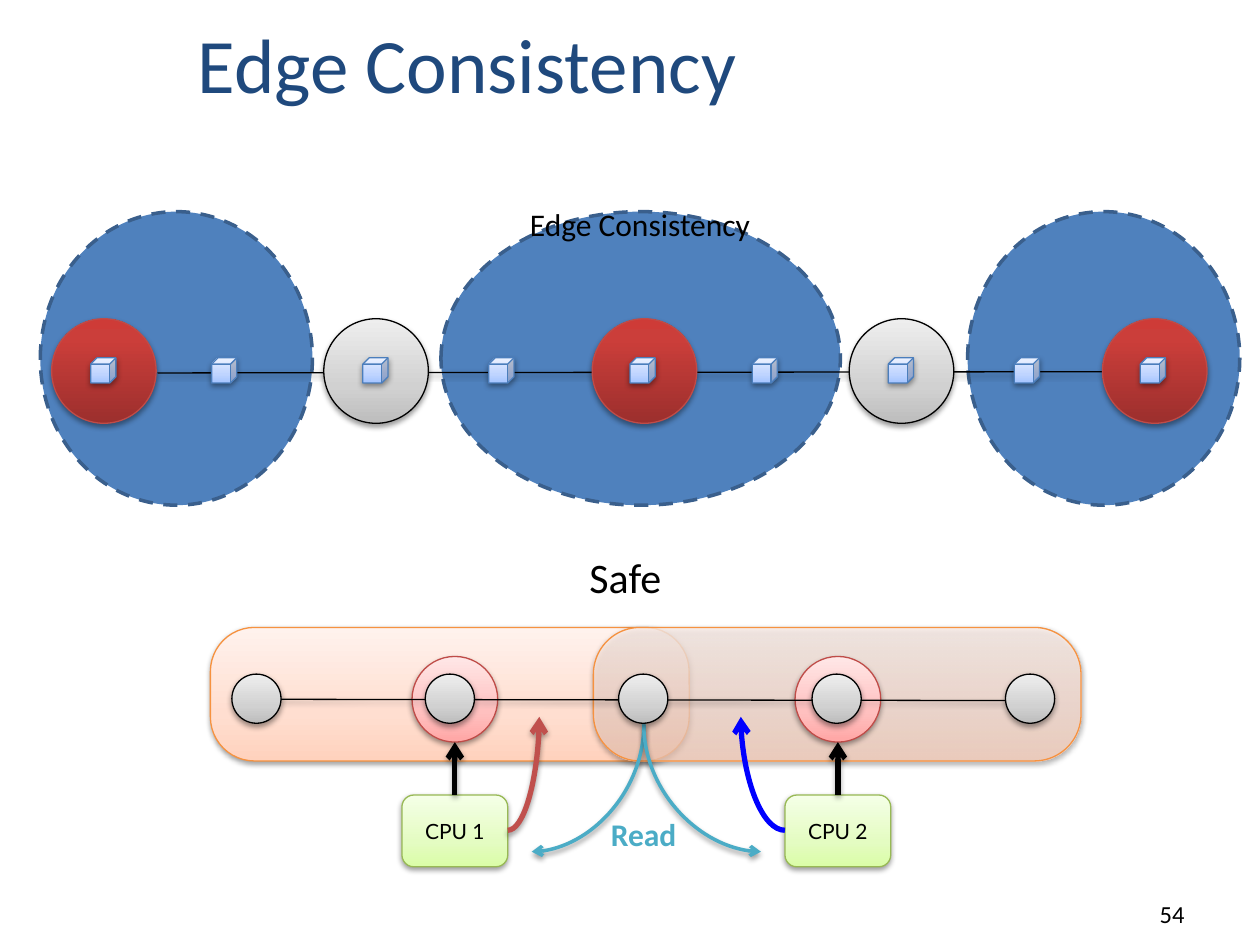
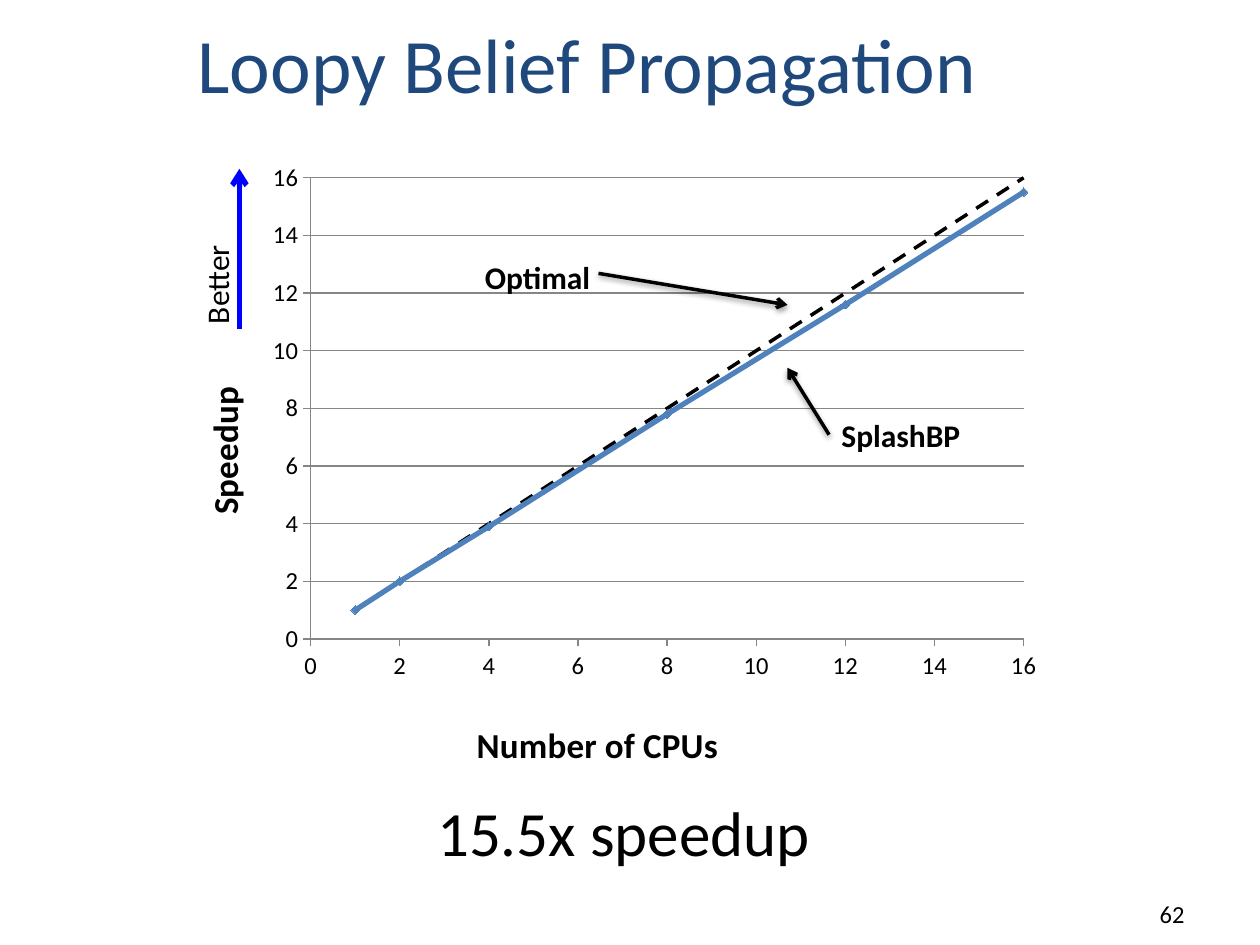
"""Build two slides: edge consistency on a graph, and the speedup of belief propagation."""
from collections import namedtuple
from dataclasses import dataclass

from lxml.etree import SubElement
from pptx import Presentation
from pptx.chart.data import XyChartData
from pptx.dml.color import RGBColor
from pptx.enum.chart import XL_CHART_TYPE, XL_MARKER_STYLE, XL_TICK_MARK
from pptx.enum.dml import MSO_LINE
from pptx.enum.shapes import MSO_CONNECTOR, MSO_SHAPE
from pptx.enum.text import MSO_ANCHOR, PP_ALIGN
from pptx.oxml.ns import qn
from pptx.util import Inches, Pt

Look = namedtuple("Look", "stops outline")
Type = namedtuple("Type", "size color bold align anchor font", defaults=("Calibri",))
LEFT, CENTER, RIGHT = PP_ALIGN.LEFT, PP_ALIGN.CENTER, PP_ALIGN.RIGHT
TOP, MIDDLE, BOTTOM = MSO_ANCHOR.TOP, MSO_ANCHOR.MIDDLE, MSO_ANCHOR.BOTTOM


@dataclass(frozen=True)
class Theme:
    black: str = "000000"
    blue: str = "4F81BD"
    bright_blue: str = "0000FF"
    teal: str = "4BACC6"
    red: str = "C0504D"
    grid: str = "868686"
    title: Type = Type(44, "1F497D", False, LEFT, BOTTOM)
    number: Type = Type(14, "000000", False, RIGHT, BOTTOM)
    result: Type = Type(36, "000000", False, CENTER, TOP)
    heading: Type = Type(24, "000000", False, LEFT, TOP)
    label: Type = Type(18, "000000", False, LEFT, TOP)
    scope_label: Type = Type(18, "000000", False, CENTER, TOP)
    strong: Type = Type(18, "000000", True, LEFT, TOP)
    read: Type = Type(18, "4BACC6", True, LEFT, TOP)
    cpu_label: Type = Type(12, "000000", False, CENTER, MIDDLE, "Lato")
    axis_title_size: int = 20
    tick_size: int = 14
    red_vertex: Look = Look(((0, "9C2F2D", 100), (80, "CB3E3A", 100), (100, "CE3B37", 100)), "BF4C48")
    gray_vertex: Look = Look(((0, "BDBDBD", 100), (35, "D1D1D1", 100), (100, "EEEEEE", 100)), "000000")
    halo: Look = Look(((0, "FFA6A5", 100), (35, "FFC0BF", 100), (100, "FFE7E7", 100)), "BF4C48")
    region: Look = Look(((0, "FFD2BD", 100), (35, "FFDED0", 100), (100, "FFF2ED", 100)), "F69240")
    clear_region: Look = Look(((0, "FFD2BD", 72), (35, "FFDED0", 70), (100, "FFF2ED", 80)), "F69240")
    cpu: Look = Look(((0, "DAFDA7", 100), (35, "E4FCC2", 100), (100, "F5FFE7", 100)), "98B955")
    cube: Look = Look(((0, "A4C4FF", 100), (35, "BFD4FF", 100), (100, "E6EEFF", 100)), "4B7EBC")


theme = Theme()


def draw_shape(page, kind, place, look):
    shape = page.shapes.add_shape(kind, *map(Inches, place))
    shape.line.color.rgb = RGBColor.from_string(look.outline)
    shape.line.width = Pt(0.75)
    shape.fill.gradient()
    shape.fill.gradient_angle = 90
    stop_list = shape.element.spPr.find(".//" + qn("a:gsLst"))
    for old_stop in list(stop_list):
        stop_list.remove(old_stop)
    for position, color, opacity in look.stops:
        stop = SubElement(stop_list, qn("a:gs"), pos=str(position * 1000))
        tint = SubElement(stop, qn("a:srgbClr"), val=color)
        SubElement(tint, qn("a:alpha"), val=str(opacity * 1000))
    shape.shadow.inherit = False
    add_shadow(shape.element.spPr.find(qn("a:effectLst")))
    return shape


def add_shadow(effects):
    shadow = SubElement(effects, qn("a:outerShdw"), blurRad="40000", dist="20000",
                        dir="5400000", rotWithShape="0")
    tint = SubElement(shadow, qn("a:srgbClr"), val=theme.black)
    SubElement(tint, qn("a:alpha"), val="38000")


deck = Presentation()
deck.slide_width, deck.slide_height = Inches(10), Inches(7.5)
edge_page, speedup_page = [deck.slides.add_slide(deck.slide_layouts[6]) for _ in range(2)]

for left, width in ((0.32, 2.16), (7.68, 2.16), (3.5, 3.17)):
    scope = edge_page.shapes.add_shape(
        MSO_SHAPE.OVAL, Inches(left), Inches(1.68), Inches(width), Inches(2.33))
    scope.shadow.inherit = False
    scope.fill.solid()
    scope.fill.fore_color.rgb = RGBColor.from_string(theme.blue)
    scope.line.color.rgb = RGBColor.from_string("3A5F8C")
    scope.line.width = Pt(2)
    scope.line.dash_style = MSO_LINE.DASH

draw_shape(edge_page, MSO_SHAPE.ROUNDED_RECTANGLE, (1.67, 4.98, 3.8, 1.06),
           theme.region).adjustments[0] = 0.33
draw_shape(edge_page, MSO_SHAPE.ROUNDED_RECTANGLE, (4.71, 4.98, 3.87, 1.06),
           theme.clear_region).adjustments[0] = 0.35

captions = []
for number, center in enumerate((3.61, 6.65), start=1):
    draw_shape(edge_page, MSO_SHAPE.OVAL, (center - 0.34, 5.21, 0.68, 0.68), theme.halo)
    cpu = draw_shape(edge_page, MSO_SHAPE.ROUNDED_RECTANGLE,
                     (center - 0.42, 6.31, 0.84, 0.57), theme.cpu)
    captions.append((cpu, theme.cpu_label, f"CPU {number}"))

speedup = XyChartData()
cpu_counts = (1, 2, 4, 8, 12, 16)
for name, values in (("Series 1", (1, 2, 3.9, 7.8, 11.6, 15.5)), ("Series 2", cpu_counts)):
    points = speedup.add_series(name)
    for cpu_count, value in zip(cpu_counts, values):
        points.add_data_point(cpu_count, value)
chart = speedup_page.shapes.add_chart(
    XL_CHART_TYPE.XY_SCATTER_LINES, Inches(1.17), Inches(1.08), Inches(7.32), Inches(5.1),
    speedup).chart
chart.has_legend = False
chart.has_title = False
chart.font.name = "Calibri"
chart.font.size = Pt(18)
chart.font.color.rgb = RGBColor.from_string(theme.black)
chart.plots[0].vary_by_categories = False

measured, optimal = chart.plots[0].series
for series, color, width in ((measured, theme.blue, 3), (optimal, theme.black, 2)):
    series.smooth = False
    series.format.line.color.rgb = RGBColor.from_string(color)
    series.format.line.width = Pt(width)
optimal.format.line.dash_style = MSO_LINE.DASH
optimal.marker.style = XL_MARKER_STYLE.NONE
measured.marker.style = XL_MARKER_STYLE.DIAMOND
measured.marker.size = 5
measured.marker.format.fill.solid()
measured.marker.format.fill.fore_color.rgb = RGBColor.from_string(theme.blue)
measured.marker.format.line.color.rgb = RGBColor.from_string(theme.blue)

for axis, title in ((chart.category_axis, "Number of CPUs"), (chart.value_axis, "Speedup")):
    axis.minimum_scale, axis.maximum_scale, axis.major_unit = 0, 16, 2
    axis.major_tick_mark = XL_TICK_MARK.OUTSIDE
    axis.minor_tick_mark = XL_TICK_MARK.NONE
    axis.has_major_gridlines = axis is chart.value_axis or title == "Speedup"
    axis.tick_labels.font.size = Pt(theme.tick_size)
    axis.format.line.color.rgb = RGBColor.from_string(theme.grid)
    span = axis.axis_title.text_frame.paragraphs[0].add_run()
    span.text = title
    span.font.name = "Calibri"
    span.font.size = Pt(theme.axis_title_size)
    span.font.bold = True
    span.font.color.rgb = RGBColor.from_string(theme.black)
chart.value_axis.major_gridlines.format.line.color.rgb = RGBColor.from_string(theme.grid)

cpu_title = chart.category_axis.axis_title.element
speedup_title = chart.value_axis.axis_title.element
speedup_title.find(".//" + qn("a:bodyPr")).set("rot", "-5400000")
plot_area = chart.element.find(".//" + qn("c:plotArea"))
edges = (("xMode", "edge"), ("yMode", "edge"))
for holder, index, settings in (
    (cpu_title, 1, (*edges, ("x", 0.35), ("y", 0.9))),
    (speedup_title, 1, (*edges, ("x", 0.05), ("y", 0.38))),
    (plot_area, 0, (("layoutTarget", "inner"), *edges,
                    ("x", 0.177), ("y", 0.065), ("w", 0.773), ("h", 0.718))),
):
    for old_layout in holder.findall(qn("c:layout")):
        holder.remove(old_layout)
    layout = SubElement(holder, qn("c:layout"))
    holder.insert(index, layout)
    manual = SubElement(layout, qn("c:manualLayout"))
    for tag, value in settings:
        SubElement(manual, qn(f"c:{tag}"), val=str(value))

STRAIGHT, CURVE = MSO_CONNECTOR.STRAIGHT, MSO_CONNECTOR.CURVE
for page, kind, ends, color, width, arrow, shadowed in (
    (edge_page, STRAIGHT, (1.25, 2.96, 8.75, 2.95), theme.black, 0.75, None, True),
    (edge_page, STRAIGHT, (2.23, 5.55, 7.98, 5.56), theme.black, 0.75, None, True),
    (edge_page, STRAIGHT, (3.61, 6.31, 3.61, 5.89), theme.black, 3, "tailEnd", True),
    (edge_page, STRAIGHT, (6.65, 6.31, 6.65, 5.89), theme.black, 3, "tailEnd", True),
    (edge_page, CURVE, (4.03, 6.59, 4.28, 5.69), theme.red, 3, "tailEnd", True),
    (edge_page, CURVE, (6.23, 6.59, 5.88, 5.69), theme.bright_blue, 3, "tailEnd", False),
    (edge_page, CURVE, (4.22, 6.76, 5.11, 5.75), theme.teal, 2, "headEnd", True),
    (edge_page, CURVE, (6.04, 6.76, 5.11, 5.75), theme.teal, 2, "headEnd", True),
    (speedup_page, STRAIGHT, (4.75, 2.17, 6.25, 2.42), theme.black, 2, "tailEnd", True),
    (speedup_page, STRAIGHT, (6.58, 3.45, 6.25, 2.92), theme.black, 2, "tailEnd", True),
    (speedup_page, STRAIGHT, (1.9, 2.61, 1.9, 1.34), theme.bright_blue, 3, "tailEnd", False),
):
    connector = page.shapes.add_connector(kind, *map(Inches, ends))
    connector.line.color.rgb = RGBColor.from_string(color)
    connector.line.width = Pt(width)
    properties = connector.element.spPr
    if kind == CURVE:
        properties.find(qn("a:prstGeom")).set("prst", "curvedConnector2")
    if arrow:
        SubElement(properties.find(qn("a:ln")), qn(f"a:{arrow}"), type="arrow")
    effects = SubElement(properties, qn("a:effectLst"))
    if shadowed:
        add_shadow(effects)

for left, look in ((0.41, theme.red_vertex), (2.57, theme.gray_vertex), (4.7, theme.red_vertex),
                   (6.74, theme.gray_vertex), (8.75, theme.red_vertex)):
    draw_shape(edge_page, MSO_SHAPE.OVAL, (left, 2.53, 0.83, 0.83), look)
for step in range(5):
    draw_shape(edge_page, MSO_SHAPE.OVAL, (1.84 + 1.535 * step, 5.35, 0.39, 0.39),
               theme.gray_vertex)
for left in (0.72, 1.68, 2.88, 3.88, 5, 5.97, 7.05, 8.05, 9.05):
    draw_shape(edge_page, MSO_SHAPE.CUBE, (left, 2.84, 0.2, 0.2), theme.cube)

title_place, number_place = (1.47, 0.08, 8.2, 0.83), (7.42, 6.92, 2.08, 0.5)
for page, place, style, text, rotation in (
    (edge_page, title_place, theme.title, "Edge Consistency", 0),
    (edge_page, number_place, theme.number, "54", 0),
    (edge_page, (3.88, 1.58, 2.4, 0.74), theme.scope_label, "Edge Consistency", 0),
    (edge_page, (4.58, 4.33, 1.13, 0.73), theme.heading, "Safe", 0),
    (edge_page, (4.75, 6.42, 1.06, 0.59), theme.read, "Read", 0),
    (speedup_page, title_place, theme.title, "Loopy Belief Propagation", 0),
    (speedup_page, number_place, theme.number, "62", 0),
    (speedup_page, (3.75, 2, 1.37, 0.4), theme.strong, "Optimal", 0),
    (speedup_page, (6.58, 3.25, 2.07, 0.4), theme.strong, "SplashBP", 0),
    (speedup_page, (1.03, 1.78, 1.38, 0.4), theme.label, "Better", 270),
    (speedup_page, (2.45, 6.25, 5, 0.77), theme.result, "15.5x speedup", 0),
):
    box = page.shapes.add_textbox(*map(Inches, place))
    box.rotation = rotation
    captions.append((box, style, text))

for box, style, text in captions:
    box.text_frame.word_wrap = True
    box.text_frame.vertical_anchor = style.anchor
    para = box.text_frame.paragraphs[0]
    para.alignment = style.align
    span = para.add_run()
    span.text = text
    span.font.name = style.font
    span.font.size = Pt(style.size)
    span.font.bold = style.bold
    span.font.color.rgb = RGBColor.from_string(style.color)

deck.save("out.pptx")
